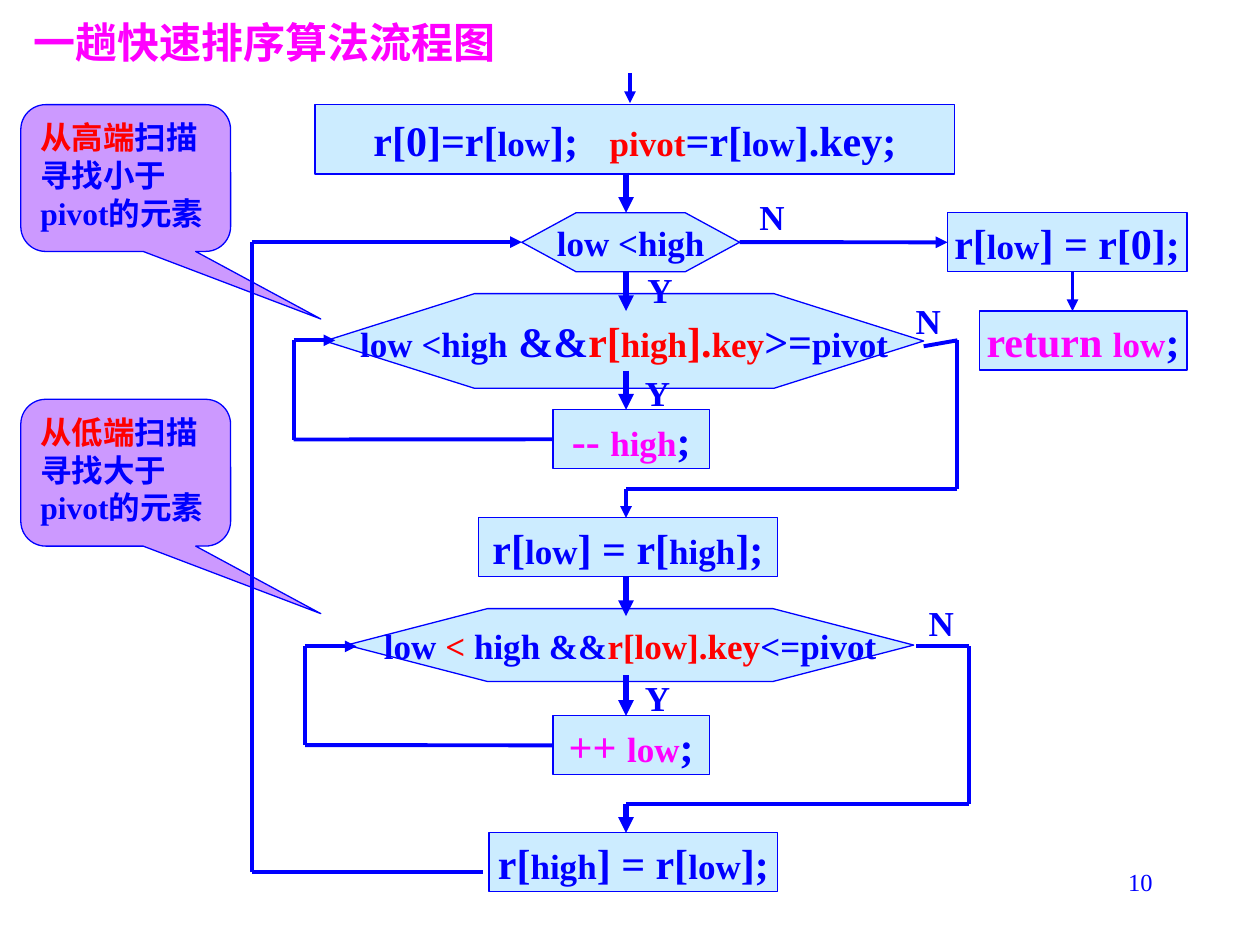
from itertools import pairwise

from lxml.etree import SubElement
from pptx import Presentation
from pptx.dml.color import RGBColor
from pptx.enum.shapes import MSO_CONNECTOR, MSO_SHAPE as Shape
from pptx.enum.text import MSO_ANCHOR as Anchor, MSO_AUTO_SIZE, PP_ALIGN as Align
from pptx.oxml.ns import qn
from pptx.util import Cm, Pt

BLUE = RGBColor(0x00, 0x00, 0xFF)
RED = RGBColor(0xFF, 0x00, 0x00)
MAGENTA = RGBColor(0xFF, 0x00, 0xFF)
PALE_BLUE = RGBColor(0xCC, 0xEC, 0xFF)
PURPLE = RGBColor(0xCC, 0x99, 0xFF)
FONT = "Times New Roman"
SMALL, LARGE = 20, 24

# All lengths are in centimetres; a span is (text, size, colour).
TITLE = [("一趟快速排序算法流程图", LARGE, MAGENTA)]
PAGE_NUMBER = [("10", 14, BLUE)]

CALLOUTS = [  # top, spans
    (2.11, [("从高端", 18, RED), ("扫描寻找小于pivot的元素", 18, BLUE)]),
    (8.05, [("从低端", 18, RED), ("扫描寻找大于pivot的元素", 18, BLUE)]),
]

STEP_HEIGHT = 1.19
STEPS = {  # name: (left, top, width, height, spans)
    "start": (6.35, 2.11, 12.9, 1.4, [
        ("r[0]=r[", LARGE, BLUE), ("low", SMALL, BLUE), ("];", LARGE, BLUE),
        (" ", LARGE, BLUE), ("pivot", SMALL, RED), ("=r[", LARGE, BLUE),
        ("low", SMALL, BLUE), ("].key;", LARGE, BLUE)]),
    "decrement": (11.15, 8.26, 3.15, STEP_HEIGHT, [
        ("-- ", LARGE, MAGENTA), ("high", SMALL, MAGENTA), (";", LARGE, BLUE)]),
    "copy high": (9.65, 10.44, 6.02, STEP_HEIGHT, [
        ("r[", LARGE, BLUE), ("low", SMALL, BLUE), ("] = r[", LARGE, BLUE),
        ("high", SMALL, BLUE), ("];", LARGE, BLUE)]),
    "increment": (11.15, 14.43, 3.15, STEP_HEIGHT, [
        ("++ ", LARGE, MAGENTA), ("low", SMALL, MAGENTA), (";", LARGE, BLUE)]),
    "copy low": (9.86, 16.79, 5.82, STEP_HEIGHT, [
        ("r[", LARGE, BLUE), ("high", SMALL, BLUE), ("] = r[", LARGE, BLUE),
        ("low", SMALL, BLUE), ("];", LARGE, BLUE)]),
    "place pivot": (19.1, 4.29, 4.83, STEP_HEIGHT, [
        ("r[", LARGE, BLUE), ("low", SMALL, BLUE), ("] = r[0];", LARGE, BLUE)]),
    "return": (19.74, 6.27, 4.19, STEP_HEIGHT, [
        ("return ", LARGE, MAGENTA), ("low", SMALL, MAGENTA), (";", LARGE, BLUE)]),
}
WIDE_SPACE = Pt(12)  # extra width of the gap between the two statements

DECISIONS = [  # left, top, width, height, corner, spans
    (10.52, 4.29, 4.39, STEP_HEIGHT, 0.92, [("low <high", SMALL, BLUE)]),
    (6.55, 5.92, 12.07, 1.91, 1.58, [
        ("low <high", SMALL, BLUE), (" &&", LARGE, BLUE), ("r[", LARGE, RED),
        ("high", SMALL, RED), ("].", LARGE, RED), ("key", SMALL, RED),
        (">=", LARGE, BLUE), ("pivot", SMALL, BLUE)]),
    (6.99, 12.27, 11.43, 1.47, 1.93, [
        ("low", SMALL, BLUE), (" < ", SMALL, RED), ("high &&", SMALL, BLUE),
        ("r[low].key", SMALL, RED), ("<=pivot", SMALL, BLUE)]),
]

AXIS = 12.62
DOWN_ARROWS = [(3.48, 4.29), (5.46, 6.27), (7.47, 8.26),
               (11.63, 12.42), (13.61, 14.43), (16.21, 16.79)]

ROUTES = [  # points, arrow at the end, step left from, step reached
    ([(12.7, 1.47), (12.7, 2.08)], True, None, None),
    ([(11.15, 8.86), (5.92, 8.86), (5.92, 6.86), (6.76, 6.86)],
     True, "decrement", None),
    ([(18.62, 6.98), (19.3, 6.86), (19.3, 9.86), (AXIS, 9.86), (AXIS, 10.44)],
     True, None, None),
    ([(11.15, 15.02), (6.15, 15.02), (6.15, 13.03), (7.19, 13.03)],
     True, "increment", None),
    ([(18.47, 13.03), (19.53, 13.03), (19.53, 16.21), (AXIS, 16.21)],
     False, None, None),
    ([(9.73, 17.58), (5.08, 17.58), (5.08, 4.88), (10.52, 4.88)],
     True, None, None),
    ([(14.91, 4.88), (19.1, 4.88)], True, None, "place pivot"),
    ([(21.62, 5.46), (21.62, 6.27)], True, None, None),
]

LABELS = [("Y", 12.8, 5.28), ("Y", 12.75, 7.37), ("Y", 12.75, 13.51),
          ("N", 15.06, 3.81), ("N", 18.21, 5.92), ("N", 18.47, 12.01)]


def write(box, spans, align=Align.LEFT, anchor=Anchor.TOP, wrap=True, bold=True):
    frame = box.text_frame
    frame.word_wrap = wrap
    frame.auto_size = MSO_AUTO_SIZE.NONE
    frame.vertical_anchor = anchor
    para = frame.paragraphs[0]
    para.alignment = align
    para.font.name = FONT
    para.font.bold = bold
    for text, size, colour in spans:
        span = para.add_run()
        span.text = text
        span.font.size = Pt(size)
        span.font.color.rgb = colour
        if text == " ":
            span.font._element.set("spc", str(int(WIDE_SPACE.pt * 100)))


def add_shape(page, kind, place, fill, adjustments=()):
    shape = page.shapes.add_shape(kind, *map(Cm, place))
    shape.shadow.inherit = False
    shape.fill.solid()
    shape.fill.fore_color.rgb = fill
    shape.line.color.rgb = BLUE
    shape.line.width = Pt(0.75)
    for index, value in enumerate(adjustments):
        shape.adjustments[index] = value
    return shape


def add_text(page, place, spans, **layout):
    write(page.shapes.add_textbox(*map(Cm, place)), spans, **layout)


def add_line(page, start, end, width=2.25, arrow=False):
    line = page.shapes.add_connector(MSO_CONNECTOR.STRAIGHT, *map(Cm, start + end))
    line.line.color.rgb = BLUE
    line.line.width = Pt(width)
    if arrow:
        SubElement(line.line._get_or_add_ln(), qn("a:tailEnd"), type="triangle")
    SubElement(line._element.spPr, qn("a:effectLst"))
    return line


def main():
    deck = Presentation()
    deck.slide_width, deck.slide_height = Cm(25.4), Cm(19.05)
    page = deck.slides.add_slide(deck.slide_layouts[5])

    title = page.shapes.title
    title.left, title.top, title.width, title.height = map(Cm, (0.42, 0.21, 21.59, 1.27))
    write(title, TITLE, anchor=Anchor.MIDDLE)
    add_text(page, (18.2, 17.36, 5.29, 1.27), PAGE_NUMBER, align=Align.RIGHT, bold=False)

    for top, spans in CALLOUTS:
        callout = add_shape(page, Shape.ROUNDED_RECTANGULAR_CALLOUT,
                            (0.42, top, 4.23, 2.96), PURPLE, (0.93, 0.96, 0.17))
        write(callout, spans)

    centred = {"align": Align.CENTER, "anchor": Anchor.MIDDLE, "wrap": False}
    boxes = {}
    for name, (*place, spans) in STEPS.items():
        boxes[name] = add_shape(page, Shape.RECTANGLE, place, PALE_BLUE)
        write(boxes[name], spans, **centred)
    for *place, corner, spans in DECISIONS:
        write(add_shape(page, Shape.HEXAGON, place, PALE_BLUE, (corner,)),
              spans, **centred)

    for top, bottom in DOWN_ARROWS:
        add_line(page, (AXIS, top), (AXIS, bottom), width=3, arrow=True)
    for points, arrow, source, target in ROUTES:
        legs = list(pairwise(points))
        lines = [add_line(page, start, end, arrow=arrow and number == len(legs))
                 for number, (start, end) in enumerate(legs, 1)]
        if source:
            lines[0].begin_connect(boxes[source], 1)
        if target:
            lines[-1].end_connect(boxes[target], 1)

    for text, left, top in LABELS:
        add_text(page, (left, top, 1.02, 1.12), [(text, SMALL, BLUE)], wrap=False)

    deck.save("out.pptx")


if __name__ == "__main__":
    main()
